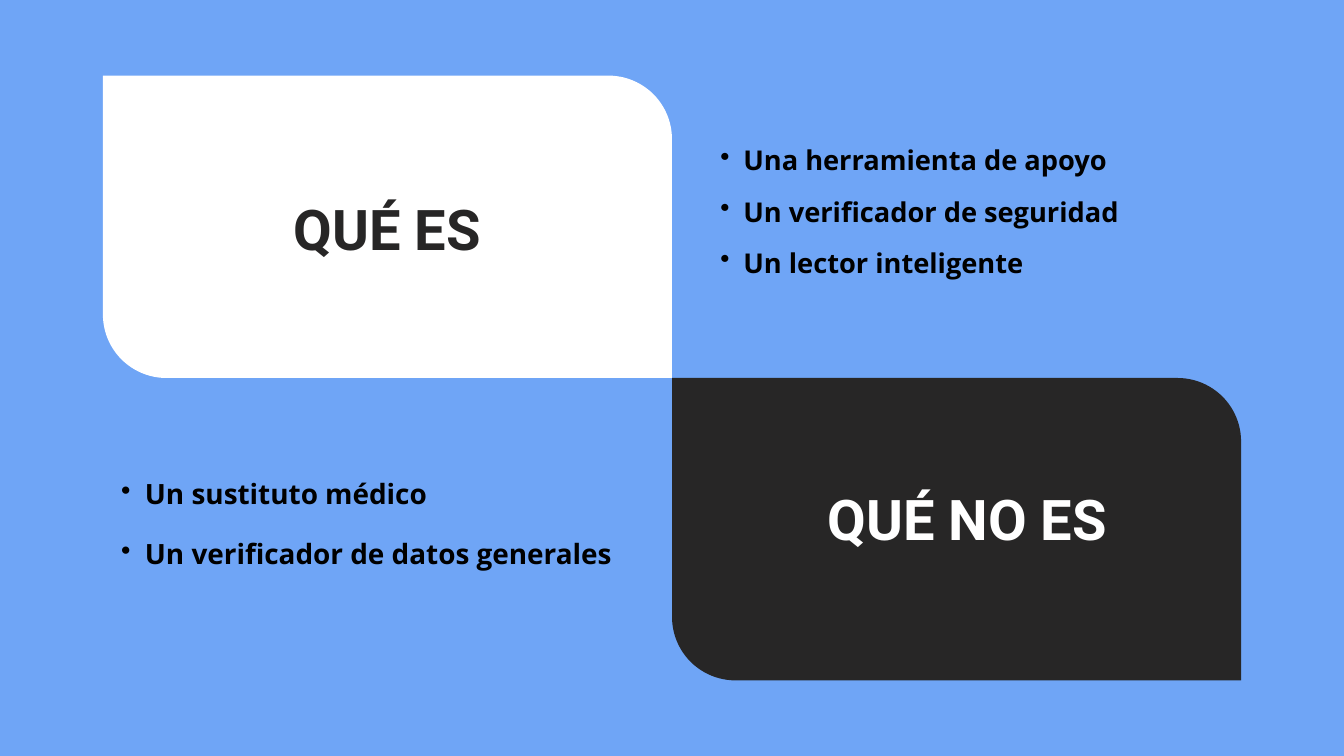
from pptx import Presentation
from pptx.dml.color import RGBColor
from pptx.enum.shapes import MSO_SHAPE
from pptx.enum.text import PP_ALIGN
from pptx.util import Pt
from lxml.etree import SubElement
from pptx.oxml.ns import qn

PX = 9525  # EMU per px on a 1920 x 1080 slide

THEME = {
    "sky": RGBColor.from_string("6FA5F6"),
    "white": RGBColor.from_string("FFFFFF"),
    "dark": RGBColor.from_string("272626"),
    "black": RGBColor.from_string("000000"),
    "head": ("Roboto", 60.1),
    "body": "Open Sans",
}


def add_text(box, lines, face, size, color, lead, indent=0):
    """Add a text box; an indent in px makes its lines bullets."""
    frame = slide.shapes.add_textbox(*[n * PX for n in box]).text_frame
    frame.word_wrap = True
    frame.margin_left = frame.margin_right = 0
    frame.margin_top = frame.margin_bottom = 0
    for i, line in enumerate(lines):
        para = frame.add_paragraph() if i else frame.paragraphs[0]
        para.text = line
        if indent:
            props = para._p.get_or_add_pPr()
            props.set("marL", str(2 * indent * PX))
            props.set("indent", str(-indent * PX))
            SubElement(props, qn("a:buChar"), char="•")
        else:
            para.alignment = PP_ALIGN.CENTER
        para.line_spacing = Pt(lead)
        para.font.name = face
        para.font.size = Pt(size)
        para.font.bold = True
        para.font.color.rgb = color


deck = Presentation()
deck.slide_width = 1920 * PX
deck.slide_height = 1080 * PX
slide = deck.slides.add_slide(deck.slide_layouts[6])
slide.background.fill.solid()
slide.background.fill.fore_color.rgb = THEME["sky"]

# Two cards that meet at the slide's centre
WIDE, HIGH = 813, 432
cards = [
    (960 - WIDE, 540 - HIGH, "white"),
    (960, 540, "dark"),
]
for left, top, fill in cards:
    card = slide.shapes.add_shape(
        MSO_SHAPE.ROUND_2_DIAG_RECTANGLE,
        left * PX, top * PX, WIDE * PX, HIGH * PX)
    card.adjustments[0] = 0
    card.adjustments[1] = 0.21
    card.fill.solid()
    card.fill.fore_color.rgb = THEME[fill]
    card.line.fill.background()
    card.shadow.inherit = False

heads = [
    ((293, 262, 521, 109), "QUÉ ES", "dark"),
    ((1073, 676, 618, 109), "QUÉ NO ES", "white"),
]
for box, head, color in heads:
    add_text(box, [head], *THEME["head"], THEME[color], 84.2)

lists = [
    ((996, 178, 603, 212), 29.2, 55.1, 33, [
        "Una herramienta de apoyo",
        "Un verificador de seguridad",
        "Un lector inteligente",
    ]),
    ((139, 643, 735, 161), 29.9, 64.5, 34, [
        "Un sustituto médico",
        "Un verificador de datos generales",
    ]),
]
for box, size, lead, indent, lines in lists:
    add_text(box, lines, THEME["body"], size, THEME["black"], lead, indent)

deck.save("out.pptx")
